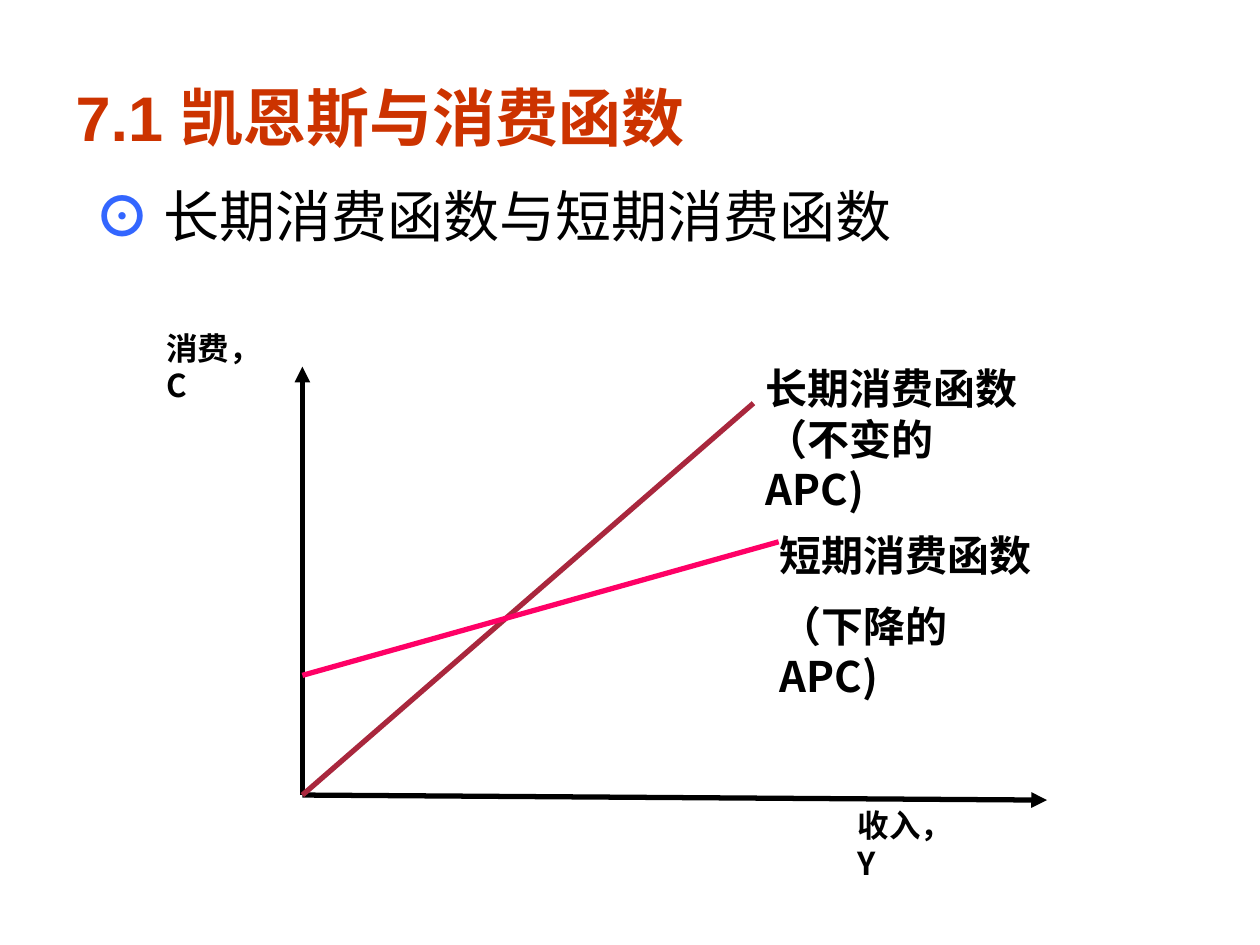
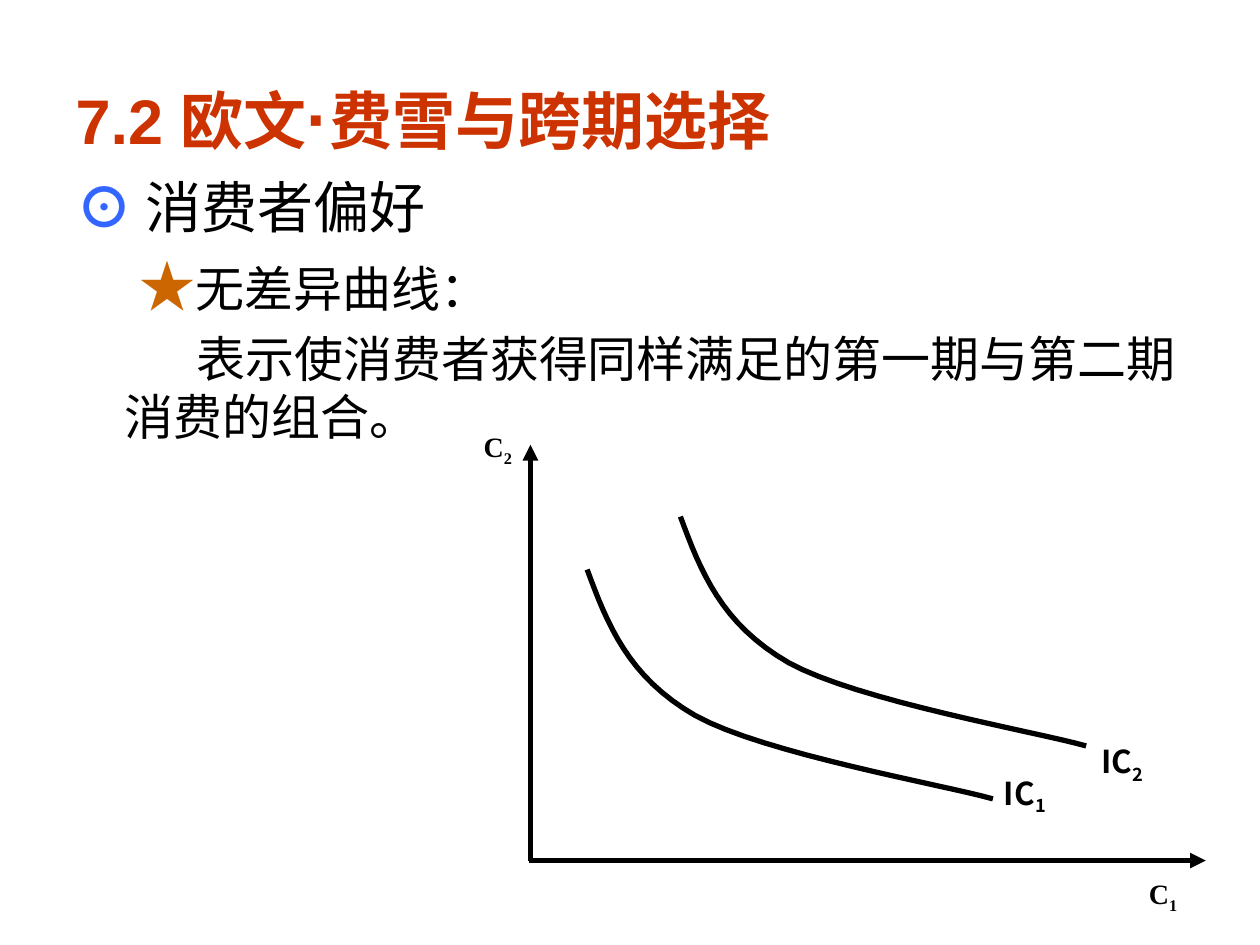
"""Two slides on consumption functions and intertemporal choice."""
from lxml import etree
from pptx import Presentation
from pptx.dml.color import RGBColor
from pptx.enum import shapes, text
from pptx.oxml.ns import qn
from pptx.util import Inches, Pt

COLORS = {"title": "CC3300", "ring": "3366FF", "star": "CC6600", "ink": "000000",
          "long_run": "A9273D", "short_run": "FF0066"}
CJK = "Noto Sans CJK SC"
SERIF = "Times New Roman"


def write(para, content, size=32, font="Arial", color="ink", bold=False, baseline=None):
    span = para.add_run()
    span.text = content
    span.font.size = Pt(size)
    span.font.name = font
    span.font.bold = bold
    span.font.color.rgb = RGBColor.from_string(COLORS[color])
    if baseline:
        span._r.get_or_add_rPr().set("baseline", str(baseline))


def draw_line(page, start, end, color="ink", arrow=False):
    line = page.shapes.add_connector(shapes.MSO_CONNECTOR.STRAIGHT,
                                     *[Inches(value) for value in start + end])
    line.line.color.rgb = RGBColor.from_string(COLORS[color])
    line.line.width = Pt(3)
    properties = line.element.spPr
    if arrow:
        etree.SubElement(properties.find(qn("a:ln")), qn("a:tailEnd"), type="triangle")
    etree.SubElement(properties, qn("a:effectLst"))


deck = Presentation()
deck.slide_width, deck.slide_height = Inches(10), Inches(7.5)

slides = [
    {"title": [("7.1 凯恩斯与消费函数", 36)],
     "body_at": (0.65, 1.39),
     "topic": "长期消费函数与短期消费函数",
     "lines": [((2.4, 6.31), (8.31, 6.35), "ink", True),
               ((2.4, 6.31), (2.4, 2.91), "ink", True),
               ((2.4, 6.31), (5.98, 3.2), "long_run", False),
               ((2.4, 5.36), (6.18, 4.3), "short_run", False)],
     "labels": [((6.09, 4.15, 2.22, 1.11), ["短期消费函数", "（下降的APC)"], "", 24, CJK, 12),
                ((6.71, 6.35, 1.08, 0.4), ["收入，Y"], "", 18, CJK, 0),
                ((1.22, 2.56, 1.08, 0.4), ["消费，C"], "", 18, CJK, 0),
                ((5.98, 2.83, 2.22, 0.9), ["长期消费函数", "（不变的APC)"], "", 24, CJK, 0)]},
    {"title": [("7.2 欧文", 36), ("·", 40), ("费雪与跨期选择", 36)],
     "body_at": (0.51, 1.32),
     "topic": "消费者偏好",
     "lines": [((4.2, 6.83), (9.57, 6.83), "ink", True),
               ((4.21, 6.83), (4.21, 3.53), "ink", True)],
     "labels": [((3.74, 3.36, 0.63, 0.55), ["C"], "2", 16, SERIF, 0),
                ((9.02, 6.91, 0.53, 0.46), ["C"], "1", 16, SERIF, 0),
                ((7.87, 6.09, 0.63, 0.42), ["IC"], "1", 18, CJK, 0),
                ((8.64, 5.84, 0.63, 0.42), ["IC"], "2", 18, CJK, 0)]},
]

for content in slides:
    page = deck.slides.add_slide(deck.slide_layouts[1])
    title, body = page.placeholders
    title.left, title.top, title.width, title.height = map(Inches, (0.5, 0.3, 9, 1.25))
    title.text_frame.vertical_anchor = text.MSO_ANCHOR.MIDDLE
    heading = title.text_frame.paragraphs[0]
    heading.alignment = text.PP_ALIGN.LEFT
    for words, size in content["title"]:
        write(heading, words, size=size, color="title", bold=True)

    body.left, body.top, body.width, body.height = map(Inches, (*content["body_at"], 9, 4.95))
    topic = body.text_frame.paragraphs[0]
    write(topic, "⊙ ", color="ring", bold=True)
    write(topic, content["topic"])

    for start, end, color, arrow in content["lines"]:
        draw_line(page, start, end, color, arrow)
    for place, rows, subscript, size, font, gap in content["labels"]:
        box = page.shapes.add_textbox(*map(Inches, place))
        box.text_frame.word_wrap = True
        for index, row in enumerate(rows):
            para = box.text_frame.add_paragraph() if index else box.text_frame.paragraphs[0]
            if index:
                para.space_before = Pt(gap)
            write(para, row, size=size, font=font, bold=True)
            if subscript:
                write(para, subscript, size=size, font=font, bold=True, baseline=-25000)

curve_name = body.text_frame.add_paragraph()
write(curve_name, "★", color="star", bold=True)
write(curve_name, "无差异曲线：", size=28)
meaning = body.text_frame.add_paragraph()
write(meaning, "表示使消费者获得同样满足的第一期与第二期消费的组合。", size=28)
for para, margin, indent in [(curve_name, 0.5, 0), (meaning, 0.38, 0.57)]:
    properties = para._p.get_or_add_pPr()
    properties.set("marL", str(Inches(margin)))
    properties.set("indent", str(Inches(indent)))

for page in deck.slides:
    for para in page.placeholders[1].text_frame.paragraphs:
        etree.SubElement(para._p.get_or_add_pPr(), qn("a:buNone"))

bends = [[(4.66, 4.52), (4.82, 4.95), (4.98, 5.37), (5.52, 5.68)],
         [(5.52, 5.68), (6.06, 5.98), (7.49, 6.23), (7.88, 6.34)]]
steps = 16
for shift_x, shift_y in [(0, 0), (0.74, -0.42)]:
    points = []
    for bend in bends:
        for step in range(steps + 1):
            t = step / steps
            weights = [(1 - t) ** 3, 3 * t * (1 - t) ** 2, 3 * t ** 2 * (1 - t), t ** 3]
            x, y = [sum(w * value for w, value in zip(weights, axis)) for axis in zip(*bend)]
            points.append((Inches(x + shift_x), Inches(y + shift_y)))
    outline = page.shapes.build_freeform(*points[0], scale=1.0)
    outline.add_line_segments(points[1:], close=False)
    curve = outline.convert_to_shape()
    curve.shadow.inherit = False
    curve.fill.background()
    curve.line.color.rgb = RGBColor.from_string(COLORS["ink"])
    curve.line.width = Pt(3)

deck.save("out.pptx")
